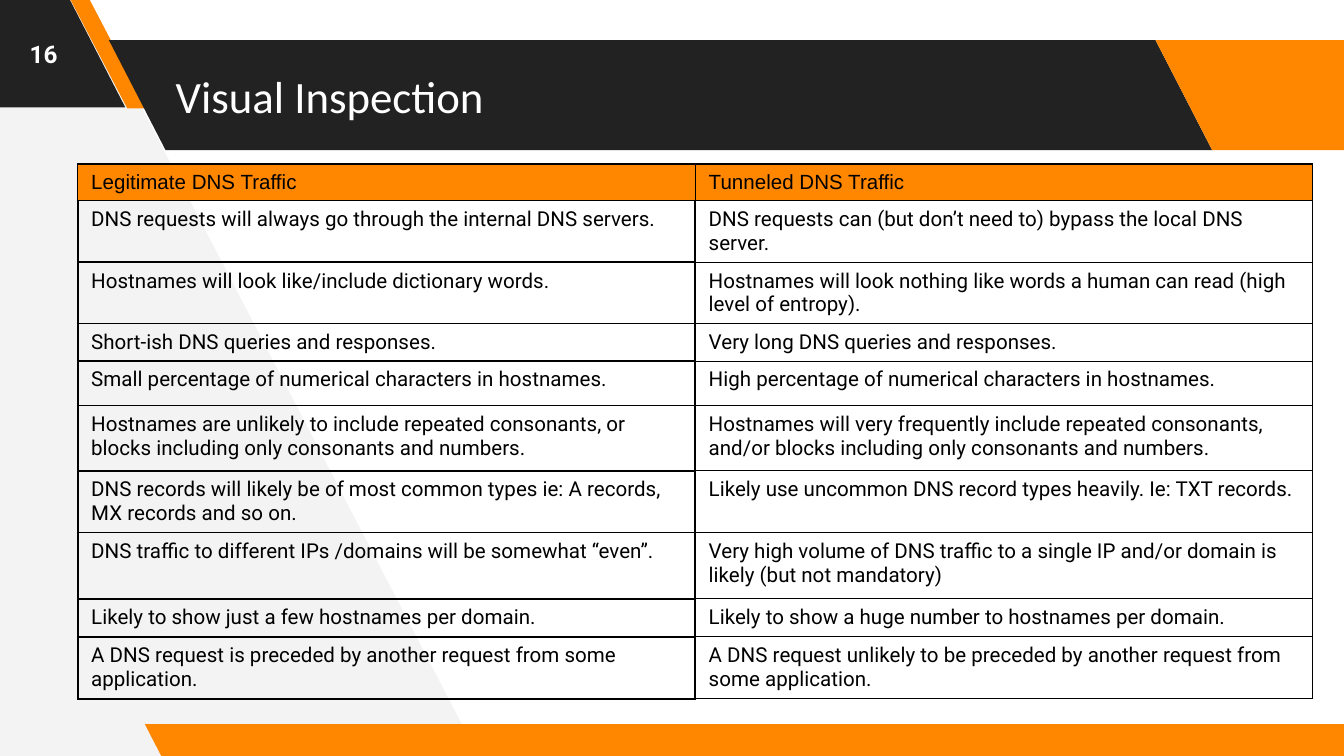
from lxml import etree
from pptx import Presentation
from pptx import util as u
from pptx.dml import color
from pptx.enum import shapes, text
from pptx.oxml import ns

hues = {"dark": "222222", "gold": "FF8700", "pale": "F3F3F3",
        "ink": "000000", "white": "FFFFFF"}

bars = [
    (-2.51, -0.05, 4.88, 2.08, 0.515, "dark"),
    (1.32, -0.03, 1.45, 2.08, 0.75, "gold"),
    (2.06, 0.76, 20.85, 2.08, 0.515, "dark"),
    (21.84, 0.76, 4.88, 2.08, 0.515, "gold"),
    (2.74, 13.69, 23.24, 0.64, 0.515, "gold"),
]

rows = [
    (0.68, "Legitimate DNS Traffic", "Tunneled DNS Traffic"),
    (1.17, "DNS requests will always go through the internal DNS servers.",
     "DNS requests can (but don’t need to) bypass the local DNS server."),
    (1.16, "Hostnames will look like/include dictionary words.",
     "Hostnames will look nothing like words a human can read (high level of entropy)."),
    (0.71, "Short-ish DNS queries and responses.",
     "Very long DNS queries and responses."),
    (0.84, "Small percentage of numerical characters in hostnames.",
     "High percentage of numerical characters in hostnames."),
    (1.23, "Hostnames are unlikely to include repeated consonants, or blocks including only consonants and numbers.",
     "Hostnames will very frequently include repeated consonants, and/or blocks including only consonants and numbers."),
    (1.17, "DNS records will likely be of most common types ie: A records, MX records and so on.",
     "Likely use uncommon DNS record types heavily. Ie: TXT records."),
    (1.25, "DNS traffic to different IPs /domains will be somewhat “even”.",
     "Very high volume of DNS traffic to a single IP and/or domain is likely (but not mandatory)"),
    (0.72, "Likely to show just a few hostnames per domain.",
     "Likely to show a huge number to hostnames per domain."),
    (1.17, "A DNS request is preceded by another request from some application.",
     "A DNS request unlikely to be preceded by another request from some application."),
]


def paint(item, hue):
    item.shadow.inherit = False
    item.fill.solid()
    item.fill.fore_color.rgb = color.RGBColor.from_string(hues[hue])
    item.line.fill.background()


def write(frame, words, font, size, hue, bold=False):
    run = frame.paragraphs[0].add_run()
    run.text = words
    run.font.name = font
    run.font.size = u.Pt(size)
    run.font.bold = bold
    run.font.color.rgb = color.RGBColor.from_string(hues[hue])


deck = Presentation()
deck.slide_width, deck.slide_height = u.Cm(25.4), u.Cm(14.29)
slide = deck.slides.add_slide(deck.slide_layouts[5])
tree = slide.shapes

pen = tree.build_freeform(u.Cm(9.04), u.Cm(14.29), scale=1.0)
pen.add_line_segments([(u.Cm(x), u.Cm(y)) for x, y in
                       [(1.57, -0.1), (-0.15, -0.1), (-0.05, 14.38)]])
paint(pen.convert_to_shape(), "pale")

for left, top, width, height, slant, hue in bars:
    bar = tree.add_shape(shapes.MSO_SHAPE.PARALLELOGRAM,
                         u.Cm(left), u.Cm(top), u.Cm(width), u.Cm(height))
    bar.adjustments[0] = slant
    bar._element.spPr.xfrm.set("flipH", "1")
    paint(bar, hue)

title = tree.title
title.left, title.top = u.Cm(3.07), u.Cm(0.76)
title.width, title.height = u.Cm(18.67), u.Cm(2.08)
tree._spTree.append(title._element)
page = tree.add_textbox(0, 0, u.Cm(1.65), u.Cm(2.03))
for box, align in [(title, text.PP_ALIGN.LEFT), (page, text.PP_ALIGN.CENTER)]:
    frame = box.text_frame
    frame.word_wrap = True
    frame.auto_size = text.MSO_AUTO_SIZE.NONE
    frame.vertical_anchor = text.MSO_ANCHOR.MIDDLE
    frame.margin_left = frame.margin_right = u.Cm(0.25)
    frame.margin_top = frame.margin_bottom = u.Cm(0.25)
    frame.paragraphs[0].alignment = align
write(title.text_frame, "Visual Inspection", "Calibri", 24, "white")
write(page.text_frame, "16", "Roboto", 13, "white", True)

total = sum(row[0] for row in rows)
grid = tree.add_table(len(rows), 2, u.Cm(1.47), u.Cm(3.1),
                      u.Cm(23.34), u.Cm(total)).table
grid.horz_banding = False
for col in grid.columns:
    col.width = u.Cm(11.67)

for r, (height, *pair) in enumerate(rows):
    grid.rows[r].height = u.Cm(height)
    for c, words in enumerate(pair):
        cell = grid.cell(r, c)
        props = cell._tc.get_or_add_tcPr()
        for side in "LRTB":
            thick = (r or side == "B") and (c == 0 or side == "L")
            edge = etree.SubElement(props, ns.qn("a:ln" + side),
                                    w=str(u.Pt(1 if thick else 0.75)))
            fill = etree.SubElement(edge, ns.qn("a:solidFill"))
            etree.SubElement(fill, ns.qn("a:srgbClr"), val=hues["ink"])
        if r == 0:
            cell.fill.solid()
            cell.fill.fore_color.rgb = color.RGBColor.from_string(hues["gold"])
        else:
            cell.fill.background()
        write(cell.text_frame, words, "Roboto" if r else "Arial", 11, "ink")

deck.save("out.pptx")
